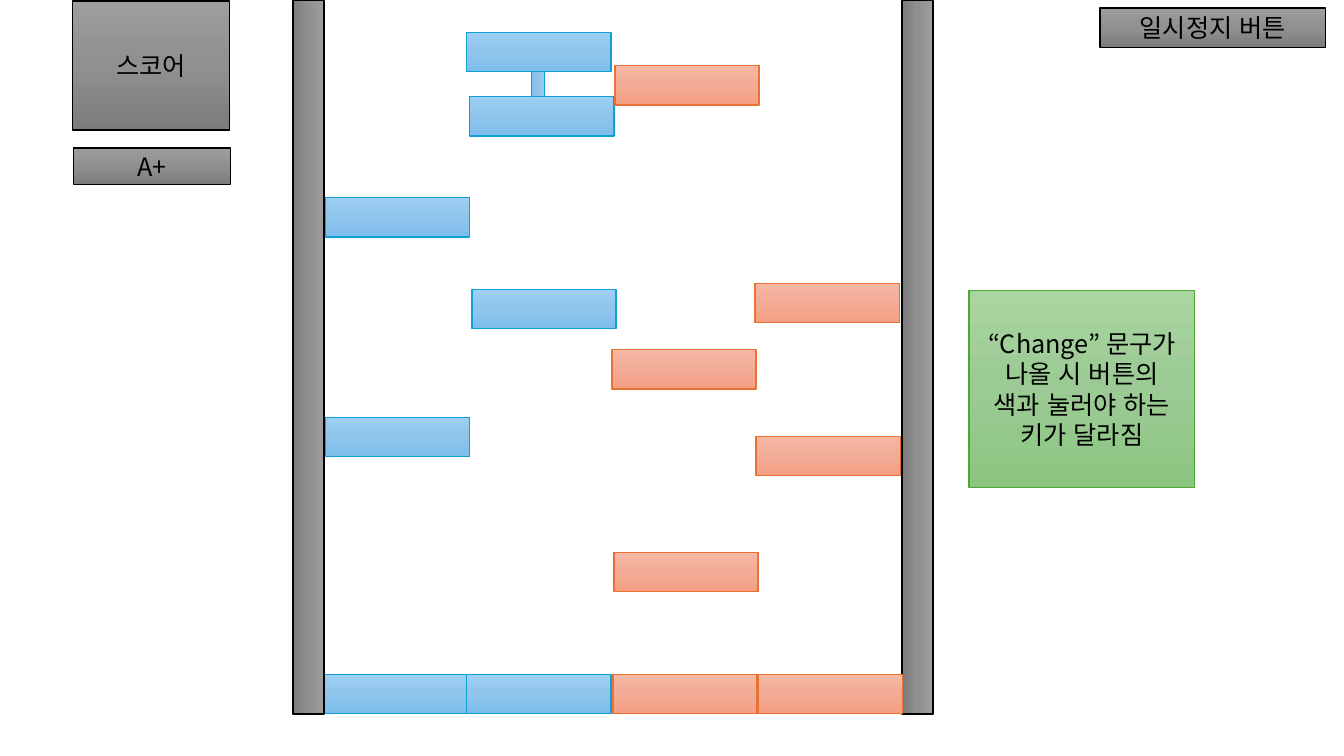
import copy
import dataclasses

import pptx
import pptx.dml.color
import pptx.enum.lang
import pptx.enum.shapes
import pptx.enum.text
import pptx.oxml
import pptx.oxml.ns
import pptx.util
from pptx.util import Inches


@dataclasses.dataclass(frozen=True)
class Theme:
    font: str = "Noto Sans CJK KR"
    text_size: int = 18
    text_color: str = "000000"
    line_width: int = 1
    # Each palette: outline, then gradient colours from top to bottom
    blue: tuple = ("0F9ED5", "9ECFF5", "90C4EB", "7CBEED")
    orange: tuple = ("E97132", "F5B8A5", "F2AB96", "F59E82")
    gray: tuple = ("000000", "9D9D9D", "909090", "7C7C7C")
    green: tuple = ("4EA72E", "A8D5A0", "9CCA94", "8AC680")


def color(value):
    return pptx.dml.color.RGBColor.from_string(value)


class GameScreen:
    NOTE_WIDTH, NOTE_HEIGHT = 1.43, 0.39
    TEXT_MARGIN = 0.13

    def __init__(self, slide, theme):
        self.slide = slide
        self.theme = theme

    def box(self, left, top, width, height, palette, rotation=0):
        box = self.slide.shapes.add_shape(
            pptx.enum.shapes.MSO_SHAPE.RECTANGLE,
            Inches(left), Inches(top), Inches(width), Inches(height))
        box.shadow.inherit = False
        box.rotation = rotation
        outline, *shades = palette
        box.line.color.rgb = color(outline)
        box.line.width = pptx.util.Pt(self.theme.line_width)
        self.shade(box, shades)
        return box

    def shade(self, box, shades):
        box.fill.gradient()
        box.fill.gradient_angle = 270
        # A new gradient has two stops; add the third
        stop_list = next(box._element.spPr.iter(pptx.oxml.ns.qn("a:gsLst")))
        stop_list.append(copy.deepcopy(stop_list[-1]))
        for index, (stop, shade) in enumerate(zip(box.fill.gradient_stops, shades)):
            stop.color.rgb = color(shade)
            stop.position = index / (len(shades) - 1)

    def note(self, left, top, palette):
        self.box(left, top, self.NOTE_WIDTH, self.NOTE_HEIGHT, palette)

    def label(self, left, top, width, height, palette, text):
        frame = self.box(left, top, width, height, palette).text_frame
        frame.word_wrap = True
        frame.margin_left = frame.margin_right = Inches(self.TEXT_MARGIN)
        frame.vertical_anchor = pptx.enum.text.MSO_ANCHOR.MIDDLE
        para = frame.paragraphs[0]
        para.text = text
        para.alignment = pptx.enum.text.PP_ALIGN.CENTER
        para.font.name = self.theme.font
        para.font.size = pptx.util.Pt(self.theme.text_size)
        para.font.color.rgb = color(self.theme.text_color)
        para.font.language_id = pptx.enum.lang.MSO_LANGUAGE_ID.KOREAN
        # Korean letters take the East Asian typeface
        properties = next(para._p.iter(pptx.oxml.ns.qn("a:defRPr")))
        east_asian = pptx.oxml.parse_xml(
            f'<a:ea {pptx.oxml.ns.nsdecls("a")} typeface="{self.theme.font}"/>')
        properties.append(east_asian)


def main():
    deck = pptx.Presentation()
    deck.slide_width, deck.slide_height = Inches(13.33), Inches(7.5)
    theme = Theme()
    screen = GameScreen(deck.slides.add_slide(deck.slide_layouts[6]), theme)

    # Key row, with the side rails over its first key
    screen.note(3.22, 6.69, theme.blue)
    for left in (-0.48, 5.56):
        screen.box(left, 3.39, 7.08, 0.31, theme.gray, rotation=90)
    screen.note(4.63, 6.69, theme.blue)
    for left in (6.08, 7.52):
        screen.note(left, 6.69, theme.orange)

    # Falling notes
    falling_notes = (
        (theme.blue, ((3.23, 4.14), (4.68, 2.87), (3.23, 1.96),
                      (4.66, 0.96), (4.63, 0.32))),
        (theme.orange, ((6.07, 3.47), (7.5, 4.33), (6.09, 5.48),
                        (6.1, 0.65), (7.49, 2.81))),
    )
    for palette, places in falling_notes:
        for left, top in places:
            screen.note(left, top, palette)

    # Bar that joins the two ends of the long note
    screen.box(5.21, 0.77, 0.25, 0.13, theme.blue, rotation=90)

    # Score, grade, pause button and rule
    screen.label(0.72, 0.01, 1.56, 1.28, theme.gray, "스코어")
    screen.label(0.73, 1.47, 1.56, 0.36, theme.gray, "A+")
    screen.label(10.91, 0.08, 2.24, 0.39, theme.gray, "일시정지 버튼")
    screen.label(9.61, 2.88, 2.24, 1.96, theme.green,
                 "“Change” 문구가 나올 시 버튼의 색과 눌러야 하는 키가 달라짐")

    deck.save("out.pptx")


if __name__ == "__main__":
    main()
